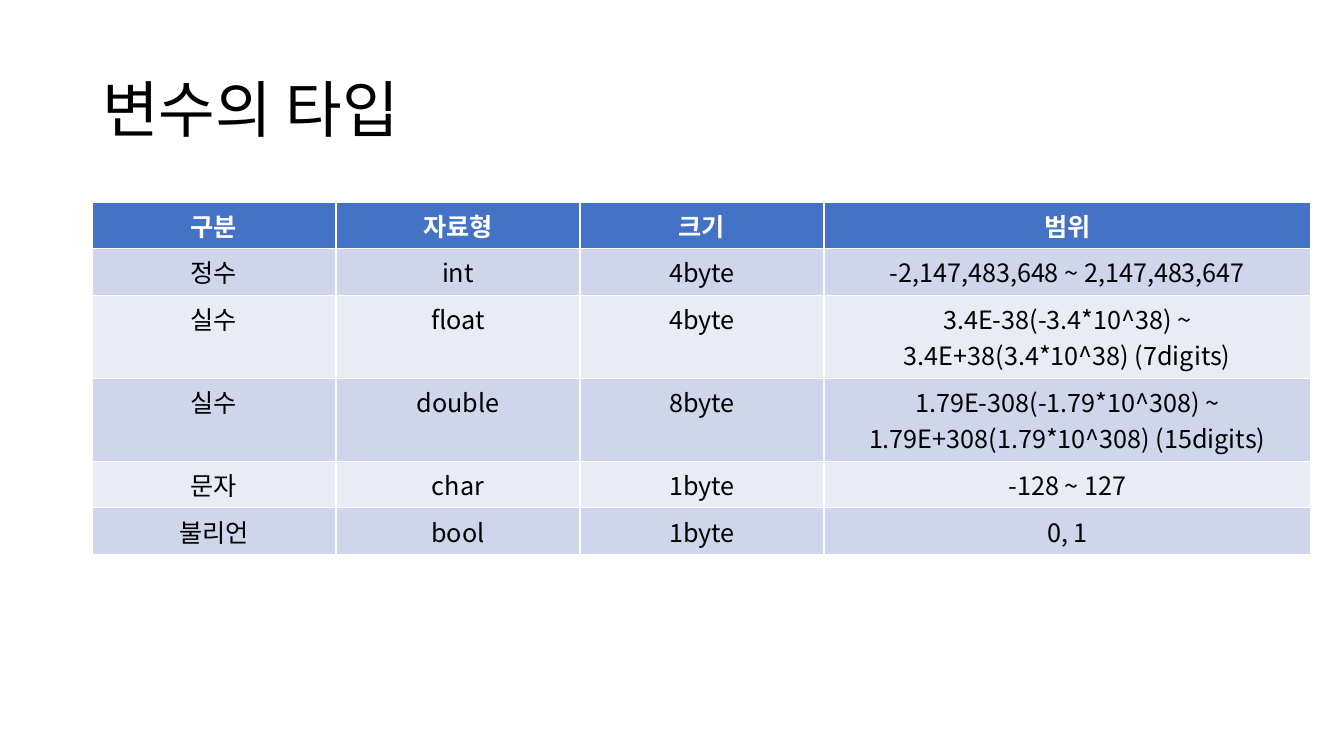
from lxml.etree import SubElement
from pptx import Presentation
from pptx.dml.color import RGBColor
from pptx.enum.text import MSO_ANCHOR, MSO_AUTO_SIZE, PP_ALIGN
from pptx.oxml.ns import qn
from pptx.util import Emu, Pt

PIXEL = 914400 / 100.8
WHITE = RGBColor(0xFF, 0xFF, 0xFF)
BLACK = RGBColor(0x00, 0x00, 0x00)
HEADER_BLUE = RGBColor(0x44, 0x72, 0xC4)
BANDS = [RGBColor(0xE9, 0xEB, 0xF5), RGBColor(0xCF, 0xD5, 0xEA)]
KOREAN_FONT = "Noto Sans CJK KR"
TITLE_FONT = "Roboto"

ROWS = [
    ("구분", "자료형", "크기", "범위"),
    ("정수", "int", "4byte", "-2,147,483,648 ~ 2,147,483,647"),
    ("실수", "float", "4byte",
     "3.4E-38(-3.4*10^38) ~ 3.4E+38(3.4*10^38) (7digits)"),
    ("실수", "double", "8byte",
     "1.79E-308(-1.79*10^308) ~ 1.79E+308(1.79*10^308) (15digits)"),
    ("문자", "char", "1byte", "-128 ~ 127"),
    ("불리언", "bool", "1byte", "0, 1"),
]
COLUMN_WIDTHS = [244, 244, 244, 487]
ROW_HEIGHT = 41


def px(pixels):
    """Turn whole pixels into EMU."""
    return Emu(round(pixels * PIXEL))


def format_paragraph(paragraph, latin_font, size, color, alignment):
    """Set the font, colour and alignment of a paragraph, Hangul included."""
    paragraph.alignment = alignment
    paragraph.font.size = Pt(size)
    paragraph.font.color.rgb = color
    for run in paragraph.runs:
        run.font.name = latin_font
        east_asian = SubElement(run.font._element, qn("a:ea"))
        east_asian.set("typeface", KOREAN_FONT)


presentation = Presentation()
presentation.slide_width = px(1344)
presentation.slide_height = px(756)
slide = presentation.slides.add_slide(presentation.slide_layouts[5])

title = slide.shapes.title
title.left, title.top, title.width, title.height = map(px, (92, 40, 1159, 146))
title.text_frame.text = "변수의 타입"
title.text_frame.auto_size = MSO_AUTO_SIZE.NONE
title.text_frame.vertical_anchor = MSO_ANCHOR.MIDDLE
title_paragraph = title.text_frame.paragraphs[0]
title_paragraph.line_spacing = 0.9
format_paragraph(title_paragraph, TITLE_FONT, 44, BLACK, PP_ALIGN.LEFT)

# The default table style supplies the white cell borders.
type_table = slide.shapes.add_table(
    len(ROWS), len(COLUMN_WIDTHS), px(92), px(202),
    px(sum(COLUMN_WIDTHS)), px(ROW_HEIGHT * len(ROWS))).table
for column, width in zip(type_table.columns, COLUMN_WIDTHS):
    column.width = px(width)

for row_index, texts in enumerate(ROWS):
    is_header = row_index == 0
    for column_index, text in enumerate(texts):
        cell = type_table.cell(row_index, column_index)
        cell.text = text
        cell.fill.solid()
        cell.fill.fore_color.rgb = HEADER_BLUE if is_header else BANDS[row_index % 2]
        paragraph = cell.text_frame.paragraphs[0]
        paragraph.font.bold = is_header
        format_paragraph(paragraph, KOREAN_FONT, 18,
                         WHITE if is_header else BLACK, PP_ALIGN.CENTER)

presentation.save("out.pptx")
